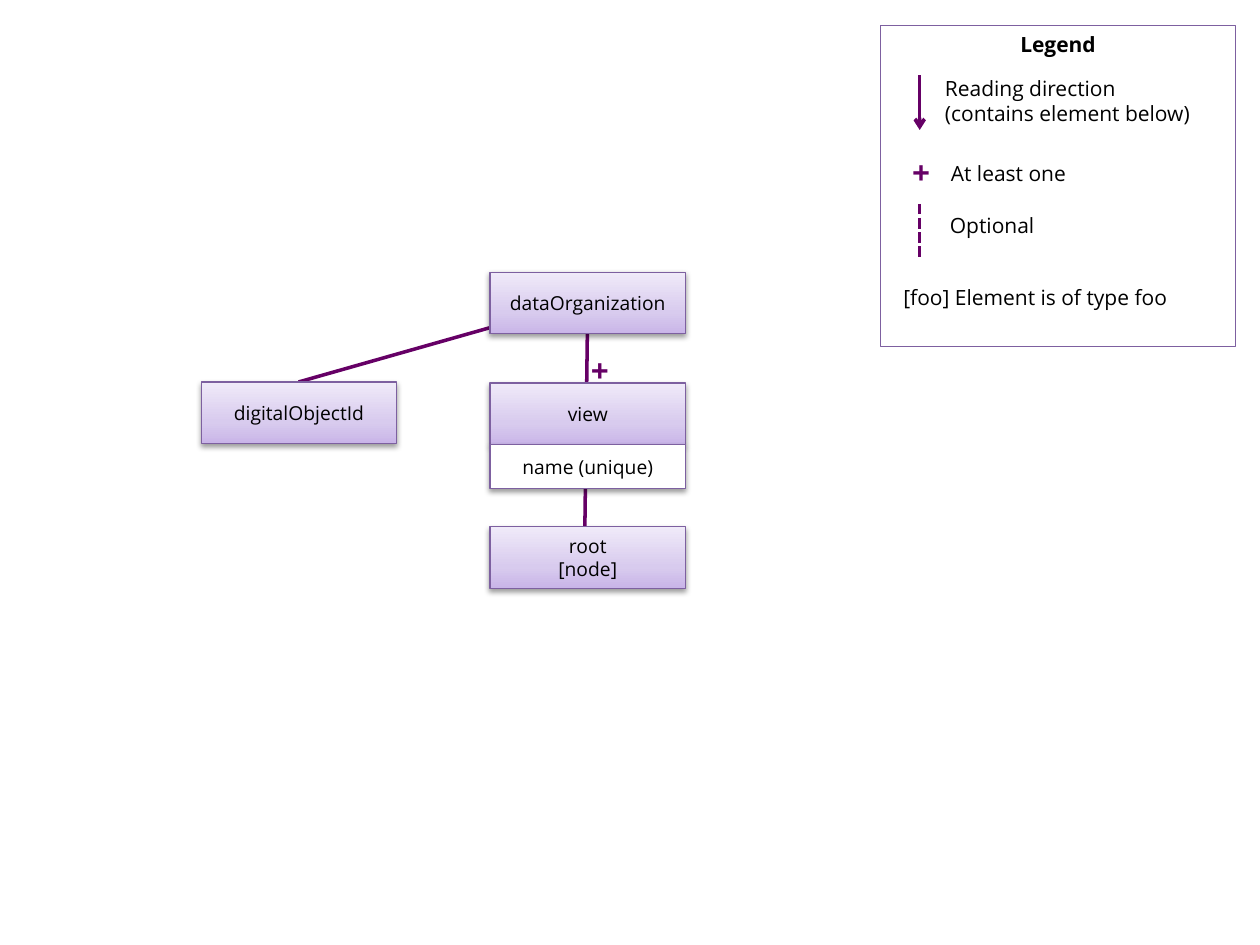
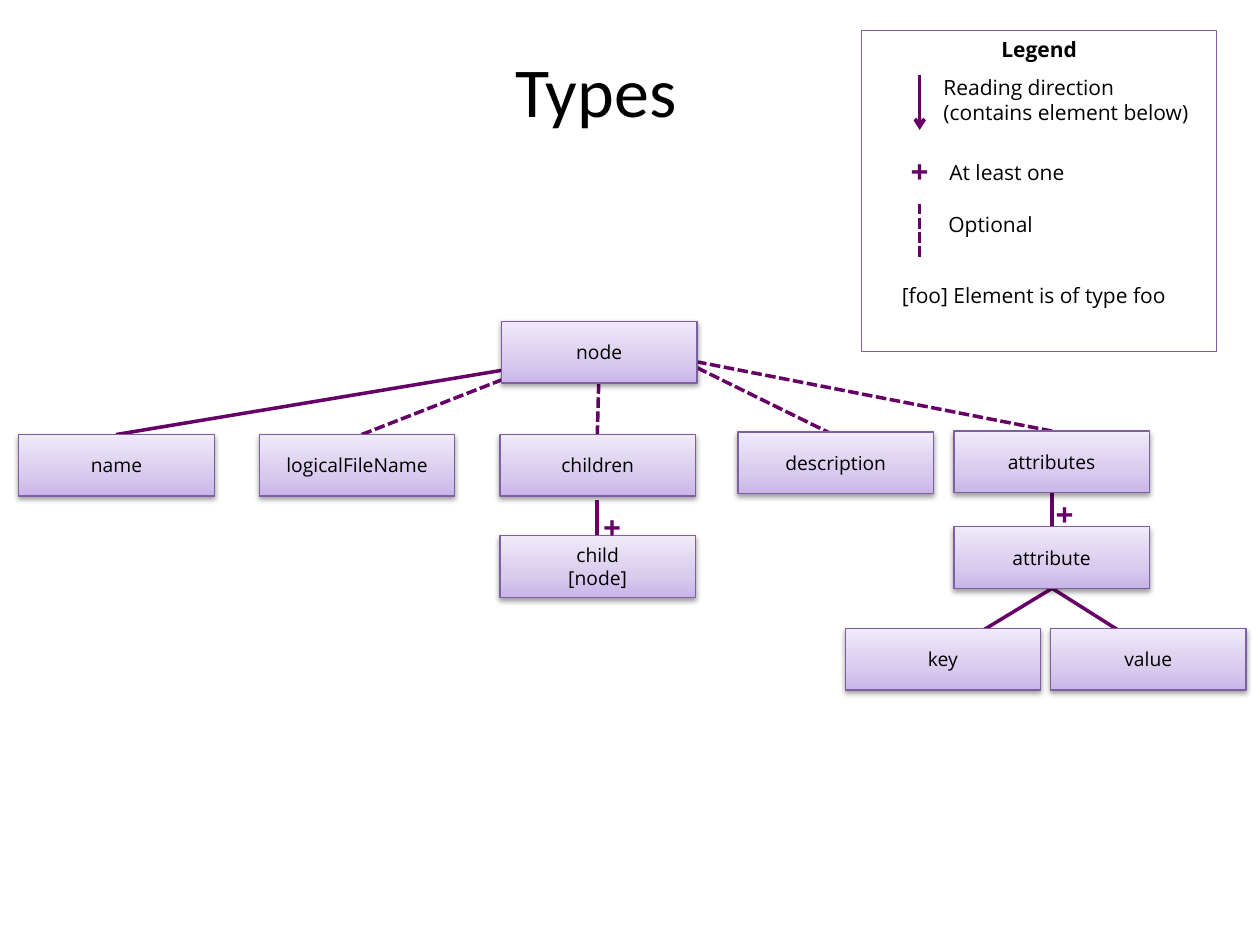
"""Build two tree diagrams of XML elements, each with the same legend."""
from lxml import etree
from pptx import Presentation
from pptx.dml.color import RGBColor
from pptx.enum.dml import MSO_LINE
from pptx.enum.shapes import MSO_CONNECTOR, MSO_SHAPE
from pptx.enum.text import MSO_ANCHOR, MSO_AUTO_SIZE, PP_ALIGN
from pptx.oxml import parse_xml
from pptx.oxml.ns import nsdecls, qn
from pptx.util import Cm, Pt

RECTANGLE = MSO_SHAPE.RECTANGLE
STRAIGHT = MSO_CONNECTOR.STRAIGHT
DASH = MSO_LINE.SQUARE_DOT
LEFT, CENTER = PP_ALIGN.LEFT, PP_ALIGN.CENTER
TOP, MIDDLE = MSO_ANCHOR.TOP, MSO_ANCHOR.MIDDLE

COLORS = {
    "white": "FFFFFF",
    "text": "000000",
    "line": "660066",
    "border": "7D60A0",
    "bottom": "C9B5E8",
    "middle": "D8CBEE",
    "top": "F0EAF9",
}
ELEMENT = {"name": "Open Sans", "size": Pt(11), "bold": False}
LABEL = {"name": "Open Sans", "size": Pt(12), "bold": False}
HEADING = {"name": "Open Sans", "size": Pt(12), "bold": True}
PLUS = {"name": "Open Sans", "size": Pt(18), "bold": True}
TITLE = {"name": "Calibri", "size": Pt(40), "bold": False}

GRADIENT = (
    f'<a:gradFill {nsdecls("a")} rotWithShape="1"><a:gsLst>'
    f'<a:gs pos="0"><a:srgbClr val="{COLORS["bottom"]}"/></a:gs>'
    f'<a:gs pos="35000"><a:srgbClr val="{COLORS["middle"]}"/></a:gs>'
    f'<a:gs pos="100000"><a:srgbClr val="{COLORS["top"]}"/></a:gs>'
    '</a:gsLst><a:lin ang="16200000" scaled="1"/></a:gradFill>'
)
SHADOW = (
    f'<a:outerShdw {nsdecls("a")} blurRad="40000" dist="20000" dir="5400000" '
    f'rotWithShape="0"><a:srgbClr val="{COLORS["text"]}">'
    '<a:alpha val="38000"/></a:srgbClr></a:outerShdw>'
)

BOX_WIDTH, BOX_HEIGHT, ATTRIBUTE_HEIGHT = 3.94, 1.24, 0.89
LEGEND_WIDTH, LEGEND_HEIGHT = 7.16, 6.48
PLUS_WIDTH, PLUS_HEIGHT = 0.89, 1.02

LEGEND_LABELS = [
    ("Reading direction\n(contains element below)", 18.8, 1.4, 5.54, 1.27),
    ("At least one", 18.92, 3.12, 2.87, 0.76),
    ("Optional", 18.9, 4.17, 2.74, 0.76),
    ("[foo] Element is of type foo", 17.96, 5.61, 6.68, 0.76),
]

DIAGRAMS = [
    {
        "title": None,
        "legend": (17.75, 0.51),
        "legend_shift": 0,
        "solid": [(6.02, 7.7, 11.94, 6.02), (11.84, 6.73, 11.79, 10.64)],
        "dashed": [],
        "elements": [
            ("dataOrganization", 9.88, 5.49),
            ("digitalObjectId", 4.06, 7.7),
            ("root\n[node]", 9.88, 10.62),
            ("view", 9.88, 7.72),
        ],
        "attributes": [("name (unique)", 9.88, 8.96)],
        "pluses": [(11.66, 6.96)],
    },
    {
        "title": "Types",
        "legend": (17.37, 0.61),
        "legend_shift": -0.03,
        "solid": [
            (18.95, 13.23, 21.21, 11.86),
            (23.06, 13.03, 21.21, 11.86),
            (2.34, 8.76, 12.07, 7.14),
            (21.21, 10.62, 21.21, 9.91),
            (12.04, 10.8, 12.04, 10.08),
        ],
        "dashed": [
            (12.04, 8.79, 12.07, 7.7),
            (16.79, 8.76, 13.74, 7.26),
            (21.21, 8.69, 13.36, 7.16),
            (7.29, 8.76, 11.13, 7.26),
        ],
        "elements": [
            ("node", 10.11, 6.48),
            ("name", 0.38, 8.76),
            ("logicalFileName", 5.23, 8.76),
            ("children", 10.08, 8.76),
            ("description", 14.88, 8.71),
            ("attributes", 19.23, 8.69),
            ("child\n[node]", 10.08, 10.8),
            ("attribute", 19.23, 10.62),
            ("key", 17.04, 12.67),
            ("value", 21.18, 12.67),
        ],
        "attributes": [],
        "pluses": [(11.91, 10.11), (21.03, 9.86)],
    },
]


def write_text(box, text, style, color="text", align=LEFT, anchor=TOP, wrap=True):
    """Fill a box with paragraphs in one style."""
    frame = box.text_frame
    frame.text = text
    frame.word_wrap = wrap
    frame.auto_size = MSO_AUTO_SIZE.NONE
    frame.vertical_anchor = anchor
    for paragraph in frame.paragraphs:
        paragraph.alignment = align
        for span in paragraph.runs:
            span.font.color.rgb = RGBColor.from_string(COLORS[color])
            for attribute, value in style.items():
                setattr(span.font, attribute, value)


def draw_line(page, ends, dash=None):
    """Draw a straight purple line without a shadow."""
    line = page.shapes.add_connector(STRAIGHT, *[Cm(value) for value in ends])
    line.line.color.rgb = RGBColor.from_string(COLORS["line"])
    line.line.width = Pt(2)
    if dash is not None:
        line.line.dash_style = dash
    etree.SubElement(line._element.spPr, qn("a:effectLst"))
    return line


deck = Presentation()
deck.slide_width, deck.slide_height = Cm(25.4), Cm(19.05)

for diagram in DIAGRAMS:
    title = diagram["title"]
    page = deck.slides.add_slide(deck.slide_layouts[5 if title else 6])
    if title:
        heading = page.shapes.title
        heading.left, heading.top = Cm(8.2), Cm(0.84)
        heading.width, heading.height = Cm(7.62), Cm(1.96)
        write_text(heading, title, TITLE, align=CENTER)

    for ends in diagram["solid"]:
        draw_line(page, ends)
    for ends in diagram["dashed"]:
        draw_line(page, ends, DASH)

    legend = ("Legend", *diagram["legend"])
    boxes = [(*item, BOX_WIDTH, BOX_HEIGHT, "element") for item in diagram["elements"]]
    boxes += [(*item, BOX_WIDTH, ATTRIBUTE_HEIGHT, "attribute") for item in diagram["attributes"]]
    boxes += [(*legend, LEGEND_WIDTH, LEGEND_HEIGHT, "legend")]
    for text, left, top, width, height, kind in boxes:
        box = page.shapes.add_shape(RECTANGLE, Cm(left), Cm(top), Cm(width), Cm(height))
        box.shadow.inherit = False
        box.line.color.rgb = RGBColor.from_string(COLORS["border"])
        box.line.width = Pt(0.75)
        properties = box._element.spPr
        if kind == "element":
            box.fill.background()
            properties.replace(properties.find(qn("a:noFill")), parse_xml(GRADIENT))
        else:
            box.fill.solid()
            box.fill.fore_color.rgb = RGBColor.from_string(COLORS["white"])
        if kind == "legend":
            write_text(box, text, HEADING, align=CENTER)
        else:
            properties.find(qn("a:effectLst")).append(parse_xml(SHADOW))
            write_text(box, text, ELEMENT, align=CENTER, anchor=MIDDLE)

    shift = diagram["legend_shift"]
    for text, left, top, width, height in LEGEND_LABELS:
        label = page.shapes.add_textbox(Cm(left + shift), Cm(top + shift), Cm(width), Cm(height))
        write_text(label, text, LABEL, wrap=False)

    for left, top in [*diagram["pluses"], (18.14 + shift, 2.97 + shift)]:
        plus = page.shapes.add_textbox(Cm(left), Cm(top), Cm(PLUS_WIDTH), Cm(PLUS_HEIGHT))
        write_text(plus, "+", PLUS, color="line", wrap=False)

    arrow = draw_line(page, (18.54, 1.52, 18.54, 2.62))
    etree.SubElement(arrow.line._get_or_add_ln(), qn("a:tailEnd"), type="arrow")
    draw_line(page, (18.54, 4.11, 18.54, 5.18), DASH)

deck.save("out.pptx")
